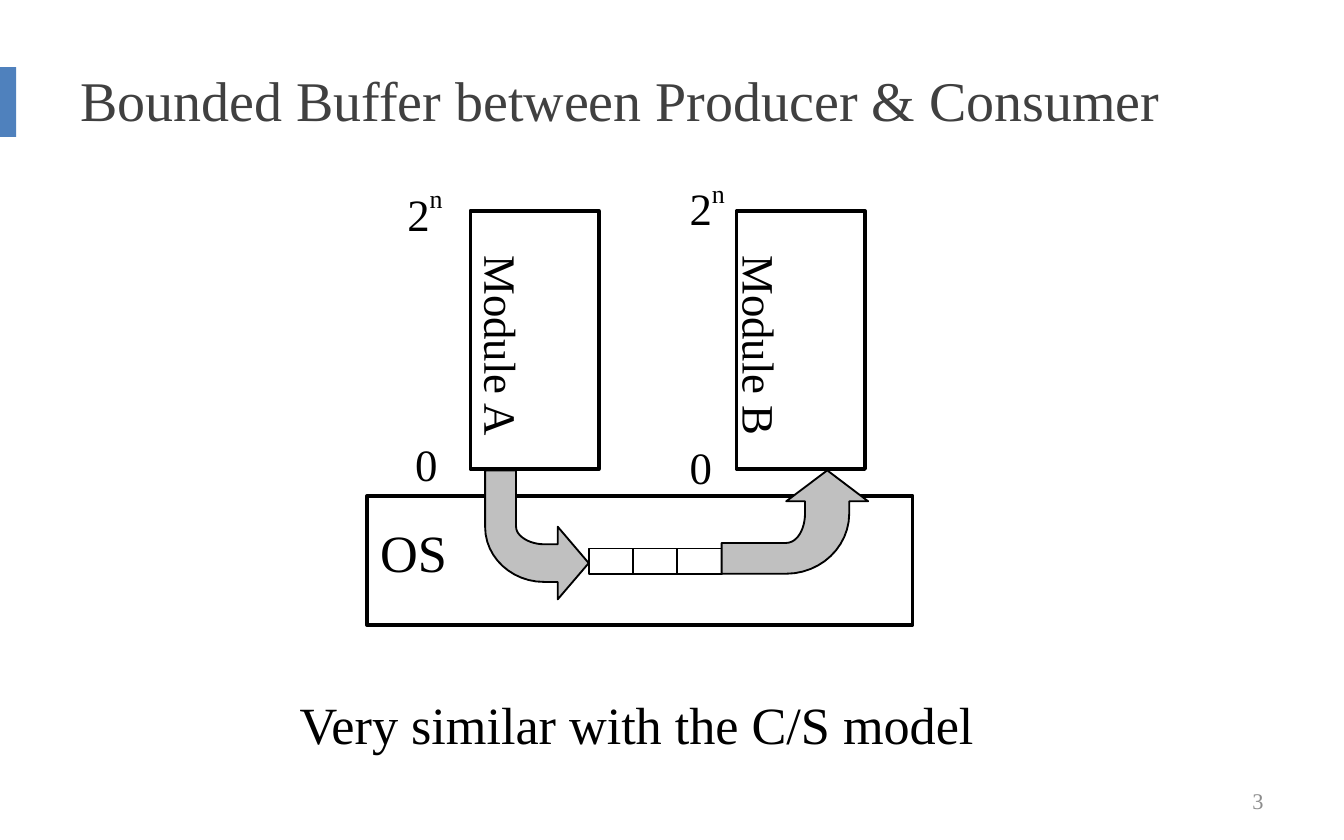
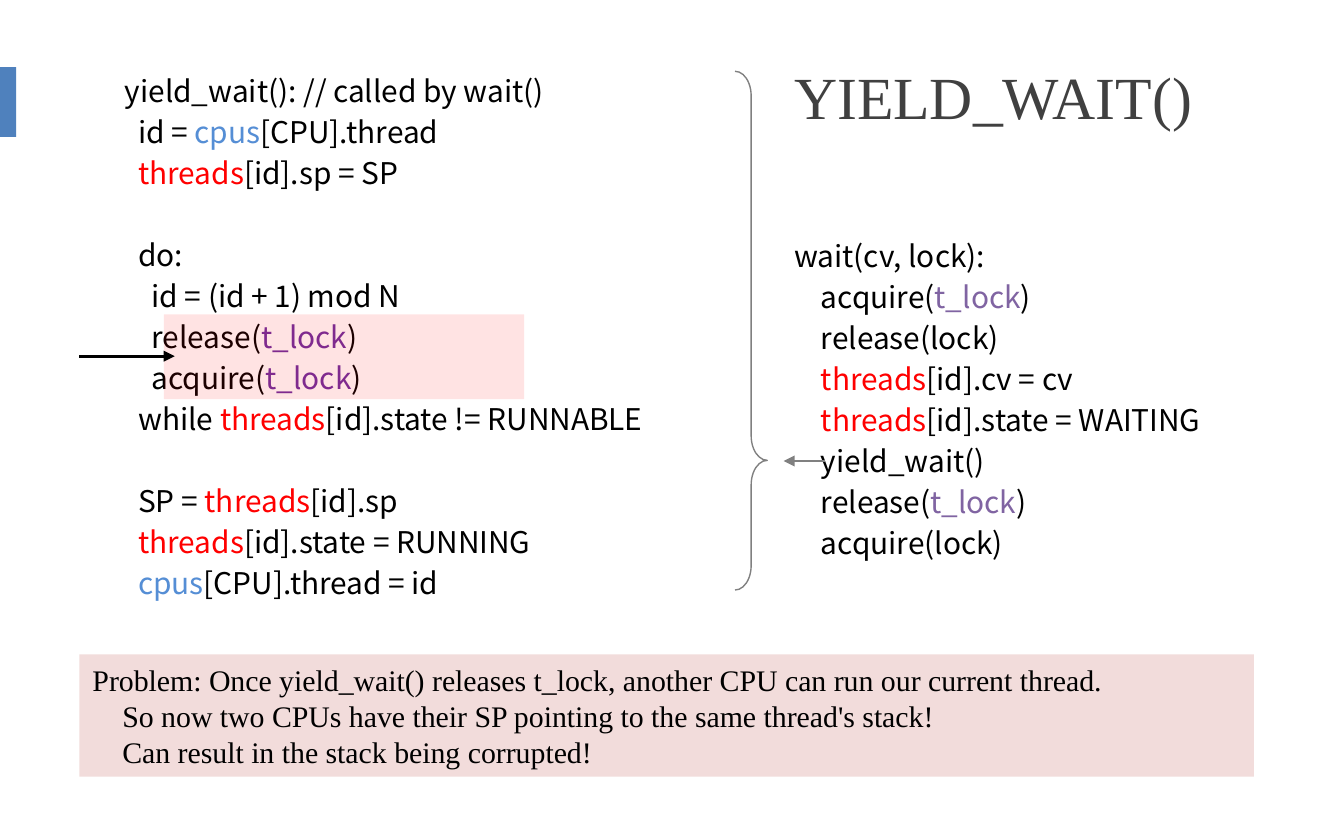
import lxml.etree
import pptx
import pptx.dml.color
import pptx.enum.shapes
import pptx.enum.text
import pptx.oxml.ns
import pptx.util

Pt = pptx.util.Pt
qn = pptx.oxml.ns.qn
SHAPES = pptx.enum.shapes.MSO_SHAPE
ANCHOR = pptx.enum.text.MSO_ANCHOR
ALIGN = pptx.enum.text.PP_ALIGN

COLOURS = {
    "accent": "4F81BD", "title": "404040", "number": "8C8C8C", "text": "000000",
    "arrow": "C0C0C0", "grey": "808080", "highlight": "FF0000", "problem": "F2DCDB",
    "cpus": "558ED5", "threads": "FF0000", "lock": "7030A0", "wait lock": "8064A2",
}
SERIF = "Times New Roman"
CODE_FONT = "Noto Sans CJK SC"
CODE_SPACING = 22
CODE_INDENT = 7.2

# Boxes are (left, top, width, height) in points.
BUFFER_TITLE = ("Bounded Buffer between Producer & Consumer", (36, 18, 648, 70.56), 30)
YIELD_TITLE = ("YIELD_WAIT()", (418.3, 13.7, 264.2, 74.9), 32)

OS_BOX = (196.6, 265.7, 292.3, 69.1)
MODULE_TOP, MODULE_WIDTH, MODULE_HEIGHT = 113, 68.8, 138.3
MODULES = [  # name, box left, name left
    ("Module A", 252, 257),
    ("Module B", 394.6, 395.3),
]
ADDRESSES = [  # base, exponent, left, top
    ("2", "n", 218.2, 108.7),
    ("0", "", 222.4, 242.6),
    ("2", "n", 369.4, 105.8),
    ("0", "", 369.4, 244.1),
]
CELL_COUNT = 3
CELL_LEFT, CELL_TOP, CELL_WIDTH, CELL_HEIGHT = 315.4, 293.8, 23.75, 13.7

# Outlines: pairs are corners, sixes are Bezier curves (two controls and an end).
ARROWS = [
    [(315.4, 301.7), (298.8, 321.1), (298.8, 311.8), (291.6, 311.8),
     (274.3, 311.8, 259.9, 298.8, 259.9, 282.2), (259.9, 252), (276.5, 252),
     (276.5, 282.2), (276.5, 287.3, 283.7, 291.6, 291.6, 291.6),
     (298.8, 291.6), (298.8, 282.2)],
    [(443.2, 252), (465.1, 268.6), (455, 268.6), (455, 275),
     (455, 293, 439.7, 307.4, 421.2, 307.4), (386.6, 307.4), (386.6, 290.9),
     (421.2, 290.9), (427, 290.9, 431.3, 283.7, 431.3, 275),
     (431.3, 268.6), (421.2, 268.6)],
]

# Code lines: (indent level, text with coloured words between bars); None is a gap.
YIELD_CODE = [
    (0, "yield_wait(): // called by wait()"),
    (1, "id = |cpus|[CPU].thread"),
    (1, "|threads|[id].sp = SP"),
    None,
    (1, "do:"),
    (2, "id = (id + 1) mod N"),
    (2, "release(|t_lock|)"),
    (2, "acquire(|t_lock|)"),
    (1, "while |threads|[id].state != RUNNABLE"),
    None,
    (1, "SP = |threads|[id].sp"),
    (1, "|threads|[id].state = RUNNING"),
    (1, "|cpus|[CPU].thread = id"),
]
WAIT_CODE = [
    (0, "wait(cv, lock):"),
    (2, "acquire(|t_lock|)"),
    (2, "release(lock)"),
    (2, "|threads|[id].cv = cv"),
    (2, "|threads|[id].state = WAITING"),
    (2, "yield_wait()"),
    (2, "release(|t_lock|)"),
    (2, "acquire(lock)"),
]
PROBLEM = [
    (0, "Problem: Once yield_wait() releases t_lock, another CPU can run our current thread."),
    (16, "So now two CPUs have their SP pointing to the same thread's stack!"),
    (16, "Can result in the stack being corrupted!"),
]
POINTERS = [  # from x, to x, y, colour, width
    (42.5, 93.6, 190.8, "text", 1.5),
    (442.1, 419.8, 247, "grey", 0.75),
]


def rgb(name):
    return pptx.dml.color.RGBColor.from_string(COLOURS[name])


def points(values):
    return [Pt(value) for value in values]


def paint(shape, fill=None, line=None, width=1):
    shape.shadow.inherit = False
    if fill:
        shape.fill.solid()
        shape.fill.fore_color.rgb = rgb(fill)
    else:
        shape.fill.background()
    if line:
        shape.line.color.rgb = rgb(line)
        shape.line.width = Pt(width)
    else:
        shape.line.fill.background()
    return shape


def add_box(slide, box, kind=SHAPES.RECTANGLE, **style):
    return paint(slide.shapes.add_shape(kind, *points(box)), **style)


def style_paragraph(paragraph, size, colour="text", font=SERIF, spacing=None,
                    indent=0, align=ALIGN.LEFT):
    paragraph.font.size = Pt(size)
    paragraph.font.name = font
    paragraph.font.color.rgb = rgb(colour)
    paragraph.alignment = align
    if spacing:
        paragraph.line_spacing = Pt(spacing)
    if indent:
        properties = paragraph._p.get_or_add_pPr()
        properties.set("marL", str(Pt(indent)))
        properties.set("indent", "0")


def add_text(slide, box, text, size, anchor=ANCHOR.TOP, inset=True, **style):
    frame = slide.shapes.add_textbox(*points(box)).text_frame
    frame.word_wrap = True
    frame.vertical_anchor = anchor
    if not inset:
        frame.margin_left = frame.margin_right = frame.margin_top = frame.margin_bottom = 0
    frame.text = text
    style_paragraph(frame.paragraphs[0], size, **style)
    return frame


def next_paragraph(frame, index):
    return frame.add_paragraph() if index else frame.paragraphs[0]


def add_code(slide, box, lines, lock):
    word_colours = {"cpus": "cpus", "threads": "threads", "t_lock": lock}
    frame = slide.shapes.add_textbox(*points(box)).text_frame
    frame.word_wrap = True
    for index, line in enumerate(lines):
        if line is None:
            continue
        level, text = line
        paragraph = next_paragraph(frame, index)
        style_paragraph(paragraph, 16, font=CODE_FONT, spacing=CODE_SPACING,
                        indent=level * CODE_INDENT)
        if index and lines[index - 1] is None:
            paragraph.space_before = Pt(CODE_SPACING)
        for word in filter(None, text.split("|")):
            run = paragraph.add_run()
            run.text = word
            if word in word_colours:
                run.font.color.rgb = rgb(word_colours[word])


def trace(outline, steps=12):
    """Turn corners and Bezier curves into a list of points."""
    traced = []
    for part in outline:
        if len(part) == 2:
            traced.append(part)
            continue
        nodes = [traced[-1], part[:2], part[2:4], part[4:]]
        for step in range(1, steps + 1):
            t = step / steps
            weights = ((1 - t) ** 3, 3 * t * (1 - t) ** 2, 3 * t * t * (1 - t), t ** 3)
            traced.append(tuple(sum(weight * node[axis] for weight, node in zip(weights, nodes))
                                for axis in (0, 1)))
    return traced


def add_block_arrow(slide, outline):
    start, *rest = [points(point) for point in trace(outline)]
    builder = slide.shapes.build_freeform(*start)
    builder.add_line_segments(rest, close=True)
    paint(builder.convert_to_shape(), fill="arrow", line="text")


def add_pointer(slide, start, end, y, colour, width):
    connector = slide.shapes.add_connector(
        pptx.enum.shapes.MSO_CONNECTOR.STRAIGHT, *points((start, y, end, y)))
    connector.line.color.rgb = rgb(colour)
    connector.line.width = Pt(width)
    properties = connector._element.spPr
    lxml.etree.SubElement(properties.find(qn("a:ln")), qn("a:tailEnd"), type="triangle")
    lxml.etree.SubElement(properties, qn("a:effectLst"))


def add_slide(presentation, title):
    slide = presentation.slides.add_slide(presentation.slide_layouts[6])
    add_box(slide, (-4.3, 36, 13, 37.4), fill="accent")
    text, box, size = title
    add_text(slide, box, text, size, anchor=ANCHOR.MIDDLE, colour="title")
    return slide


def build_buffer_slide(presentation):
    slide = add_slide(presentation, BUFFER_TITLE)
    add_text(slide, (516.2, 416.9, 167.8, 23.8), "3", 12, anchor=ANCHOR.MIDDLE,
             colour="number", align=ALIGN.RIGHT)
    system = add_box(slide, OS_BOX, line="text", width=2)
    system.text_frame.text = "OS"
    system.text_frame.vertical_anchor = ANCHOR.MIDDLE
    style_paragraph(system.text_frame.paragraphs[0], 28, spacing=24)

    for name, left, name_left in MODULES:
        add_box(slide, (left, MODULE_TOP, MODULE_WIDTH, MODULE_HEIGHT), line="text", width=2)
        frame = add_text(slide, (name_left, 136.8, 26.6, 104), name, 24, inset=False)
        frame._txBody.bodyPr.set("vert", "vert")
    for index in range(CELL_COUNT):
        add_box(slide, (CELL_LEFT + index * CELL_WIDTH, CELL_TOP, CELL_WIDTH, CELL_HEIGHT),
                line="text")
    for outline in ARROWS:
        add_block_arrow(slide, outline)
    for base, exponent, left, top in ADDRESSES:
        frame = add_text(slide, (left, top, 28, 24), base, 24, inset=False, spacing=20)
        if exponent:
            run = frame.paragraphs[0].add_run()
            run.text = exponent
            run._r.get_or_add_rPr().set("baseline", "50000")
    add_text(slide, (153.4, 367.2, 395.3, 41), "Very similar with the C/S model", 28)


def build_yield_slide(presentation):
    slide = add_slide(presentation, YIELD_TITLE)
    add_code(slide, (59.8, 32.4, 360, 296), YIELD_CODE, "lock")
    add_code(slide, (418.3, 121, 306, 185), WAIT_CODE, "wait lock")

    highlight = add_box(slide, (87.8, 168.5, 193, 45.4), fill="highlight")
    colour = highlight._element.spPr.find(qn("a:solidFill"))[0]
    lxml.etree.SubElement(colour, qn("a:alpha"), val="11000")

    frame = add_box(slide, (42.5, 350.6, 629.3, 65.5), fill="problem").text_frame
    frame.word_wrap = True
    frame.vertical_anchor = ANCHOR.TOP
    for index, (indent, text) in enumerate(PROBLEM):
        paragraph = next_paragraph(frame, index)
        paragraph.text = text
        style_paragraph(paragraph, 16, spacing=19.3, indent=indent)

    brace = add_box(slide, (393.8, 38.2, 17.3, 277.9), SHAPES.RIGHT_BRACE,
                    line="grey", width=0.75)
    brace.adjustments[0] = 0.76
    brace.adjustments[1] = 0.75
    for pointer in POINTERS:
        add_pointer(slide, *pointer)


def main():
    presentation = pptx.Presentation()
    presentation.slide_width = Pt(720)
    presentation.slide_height = Pt(450)
    build_buffer_slide(presentation)
    build_yield_slide(presentation)
    presentation.save("out.pptx")


if __name__ == "__main__":
    main()
